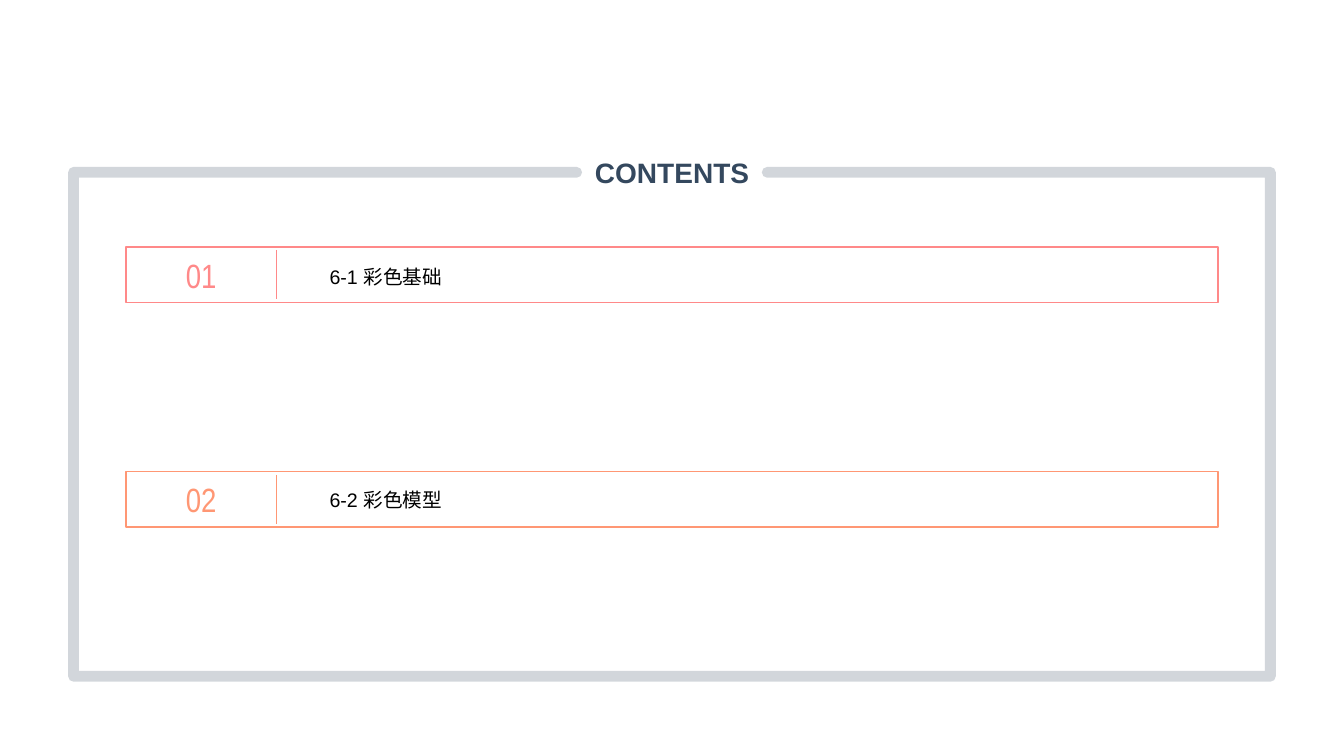
import pptx
import pptx.util
import pptx.dml.color
import pptx.enum.shapes
import pptx.enum.text
import pptx.oxml
import pptx.oxml.ns
from pptx.util import Inches

COLORS = {"navy": "34485E", "pink": "FF8989", "orange": "FF9774", "black": "000000"}
ALIGN = pptx.enum.text.PP_ALIGN
A_NS = pptx.oxml.ns.nsdecls("a")
qn = pptx.oxml.ns.qn


def rgb(name):
    return pptx.dml.color.RGBColor.from_string(COLORS[name])


def set_line(shape, color, width):
    shape.line.color.rgb = rgb(color)
    shape.line.width = pptx.util.Pt(width)


def add_text(s, box, text, size, color, font="Arial", bold=False,
             align=ALIGN.LEFT, wrap=False, spacing=None, margin=None):
    tf = s.shapes.add_textbox(*map(Inches, box)).text_frame
    tf.word_wrap = wrap
    tf.vertical_anchor = pptx.enum.text.MSO_ANCHOR.MIDDLE
    if margin is not None:
        tf.margin_left = tf.margin_right = tf.margin_top = tf.margin_bottom = margin
    p = tf.paragraphs[0]
    p.alignment = align
    if spacing:
        p.line_spacing = spacing
    r = p.add_run()
    r.text = text
    r.font.size = pptx.util.Pt(size)
    r.font.name = font
    r.font.bold = bold
    r.font.color.rgb = rgb(color)


def add_frame(s, x, y, w, h, gap, title):
    """Draw an open translucent frame whose top edge is broken by the title."""
    middle = x + w / 2
    title_w, title_h = 1.72, 0.67
    add_text(s, (middle - title_w / 2, y - title_h / 2, title_w, title_h), title,
             20, "navy", bold=True, align=ALIGN.CENTER, wrap=True, margin=0)

    points = [(middle + gap / 2, y), (x + w, y), (x + w, y + h),
              (x, y + h), (x, y), (middle - gap / 2, y)]
    corners = [(Inches(px), Inches(py)) for px, py in points]
    builder = s.shapes.build_freeform(*corners[0])
    builder.add_line_segments(corners[1:], close=False)
    sp = builder.convert_to_shape()
    sp.shadow.inherit = False
    sp.fill.background()
    set_line(sp, "navy", 7.75)
    ln = sp._element.spPr.find(qn("a:ln"))
    ln.set("cap", "rnd")
    ln.find(".//" + qn("a:srgbClr")).append(
        pptx.oxml.parse_xml(f'<a:alpha {A_NS} val="21000"/>'))
    ln.append(pptx.oxml.parse_xml(f"<a:round {A_NS}/>"))


def add_entry(s, x, y, w, h, number, text, color, spacing):
    """Draw one contents row: outline, number, divider and heading."""
    number_w, text_dx, inset = 1.49, 1.92, 0.03
    sp = s.shapes.add_shape(pptx.enum.shapes.MSO_SHAPE.RECTANGLE,
                            *map(Inches, (x, y, w, h)))
    sp.shadow.inherit = False
    sp.fill.background()
    set_line(sp, color, 1)
    add_text(s, (x, y, number_w, h), number, 24, color, font="Arial Narrow",
             align=ALIGN.CENTER)

    divider_x = x + number_w
    divider = s.shapes.add_connector(
        pptx.enum.shapes.MSO_CONNECTOR.STRAIGHT,
        *map(Inches, (divider_x, y + inset, divider_x, y + h - inset)))
    set_line(divider, color, 1)
    divider._element.spPr.append(pptx.oxml.parse_xml(f"<a:effectLst {A_NS}/>"))
    add_text(s, (x + text_dx, y, w - text_dx, h), text, 14, "black", spacing=spacing)


def main():
    prs = pptx.Presentation()
    prs.slide_width, prs.slide_height = Inches(13.33), Inches(7.5)
    s = prs.slides.add_slide(prs.slide_layouts[6])
    add_frame(s, 0.73, 1.71, 11.87, 5, 1.89, "CONTENTS")
    entries = [("01", "6-1 彩色基础", "pink", 1.2), ("02", "6-2 彩色模型", "orange", None)]
    for i, entry in enumerate(entries):
        add_entry(s, 1.25, 2.45 + 2.23 * i, 10.83, 0.55, *entry)
    prs.save("out.pptx")


if __name__ == "__main__":
    main()
